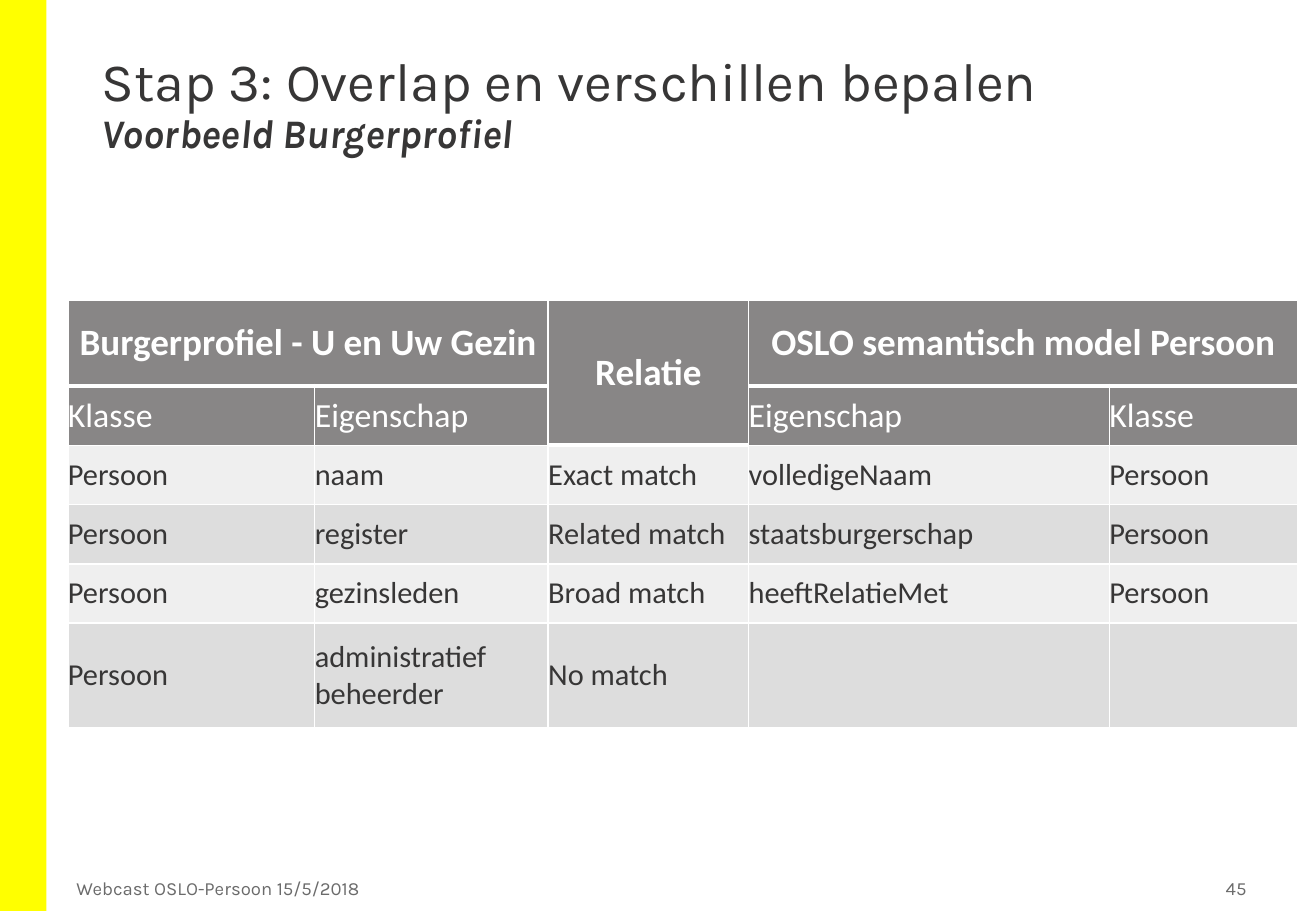
from lxml.etree import SubElement
from pptx import Presentation
from pptx.dml.color import RGBColor
from pptx.enum.shapes import MSO_SHAPE
from pptx.enum.text import MSO_ANCHOR, PP_ALIGN
from pptx.oxml.ns import qn
from pptx.util import Cm, Pt

YELLOW = RGBColor(0xFF, 0xFF, 0x00)
WHITE = RGBColor(0xFF, 0xFF, 0xFF)
DARK = RGBColor(0x37, 0x36, 0x36)
GREY = RGBColor(0x6B, 0x6B, 0x6B)
HEAD = RGBColor(0x88, 0x86, 0x86)
LIGHT = RGBColor(0xEF, 0xEF, 0xEF)
SHADE = RGBColor(0xDD, 0xDD, 0xDD)

WIDTHS = [5.16, 4.88, 4.19, 7.54, 3.94]
HEIGHTS = [1.8, 1.24, 1.24, 1.24, 1.24, 2.18]
ROWS = [
    ["Burgerprofiel - U en Uw Gezin", "", "Relatie", "OSLO semantisch model Persoon", ""],
    ["Klasse", "Eigenschap", "", "Eigenschap", "Klasse"],
    ["Persoon", "naam", "Exact match", "volledigeNaam", "Persoon"],
    ["Persoon", "register", "Related match", "staatsburgerschap", "Persoon"],
    ["Persoon", "gezinsleden", "Broad match", "heeftRelatieMet", "Persoon"],
    ["Persoon", "administratief beheerder", "No match", "", ""],
]
MERGES = [((0, 0), (0, 1)), ((0, 2), (1, 2)), ((0, 3), (0, 4))]


def style(run, name, size, color, bold=False):
    font = run.font
    font.name = name
    font.size = Pt(size)
    font.bold = bold
    font.color.rgb = color


def add_bar(slide):
    bar = slide.shapes.add_shape(MSO_SHAPE.RECTANGLE, 0, 0, Cm(0.97), Cm(19.05))
    bar.shadow.inherit = False
    bar.fill.solid()
    bar.fill.fore_color.rgb = YELLOW
    bar.line.fill.background()


def add_text(slide, box, text, size, color, anchor=MSO_ANCHOR.MIDDLE):
    frame = slide.shapes.add_textbox(*map(Cm, box)).text_frame
    frame.word_wrap = True
    frame.vertical_anchor = anchor
    par = frame.paragraphs[0]
    par.text = text
    for run in par.runs:
        style(run, "Karla", size, color)
    return frame


def add_title(slide):
    text = "Stap 3: Overlap en verschillen bepalen\nVoorbeeld Burgerprofiel"
    frame = add_text(slide, (1.88, 1.02, 23.72, 2.74), text, 32, DARK, MSO_ANCHOR.TOP)
    par = frame.paragraphs[0]
    par.line_spacing = 0.9
    sub = par.runs[1]
    style(sub, "Karla", 24, DARK, True)
    sub.font.italic = True


def add_foot(slide):
    add_text(slide, (1.35, 18.34, 16.89, 0.48), "Webcast OSLO-Persoon 15/5/2018", 11, GREY)
    frame = add_text(slide, (24.13, 18.21, 2.06, 0.74), "45", 11, GREY)
    frame.margin_left = frame.margin_right = Cm(0.13)
    frame.paragraphs[0].alignment = PP_ALIGN.RIGHT


def add_edge(cell, side, width):
    line = SubElement(cell._tc.get_or_add_tcPr(), qn("a:ln" + side), w=str(Pt(width)))
    fill = SubElement(line, qn("a:solidFill"))
    SubElement(fill, qn("a:srgbClr"), val=str(WHITE))


def fill_cell(cell, row, text):
    thick = {"T": row == 1, "B": row == 0}
    for side in "LRTB":
        add_edge(cell, side, 3 if thick.get(side) else 1)
    cell.fill.solid()
    cell.fill.fore_color.rgb = HEAD if row < 2 else (LIGHT, SHADE)[row % 2]
    cell.margin_left = cell.margin_right = cell.margin_top = cell.margin_bottom = 0
    cell.vertical_anchor = MSO_ANCHOR.MIDDLE
    if not text:
        return
    par = cell.text_frame.paragraphs[0]
    par.text = text
    par.alignment = PP_ALIGN.CENTER if row == 0 else PP_ALIGN.LEFT
    size = {0: 22, 1: 20}.get(row, 18)
    style(par.runs[0], "Calibri", size, WHITE if row < 2 else DARK, row == 0)


def add_grid(slide):
    frame = slide.shapes.add_table(
        len(ROWS), len(WIDTHS), Cm(1.42), Cm(6.27), Cm(sum(WIDTHS)), Cm(sum(HEIGHTS))
    )
    table = frame.table
    table.horz_banding = False
    for col, width in zip(table.columns, WIDTHS):
        col.width = Cm(width)
    for row, height in zip(table.rows, HEIGHTS):
        row.height = Cm(height)
    for start, end in MERGES:
        table.cell(*start).merge(table.cell(*end))
    for row, texts in enumerate(ROWS):
        for col, text in enumerate(texts):
            fill_cell(table.cell(row, col), row, text)


def main():
    deck = Presentation()
    deck.slide_width = Cm(27.51)
    deck.slide_height = Cm(19.05)
    slide = deck.slides.add_slide(deck.slide_layouts[6])
    add_bar(slide)
    add_title(slide)
    add_foot(slide)
    add_grid(slide)
    deck.save("out.pptx")


if __name__ == "__main__":
    main()
